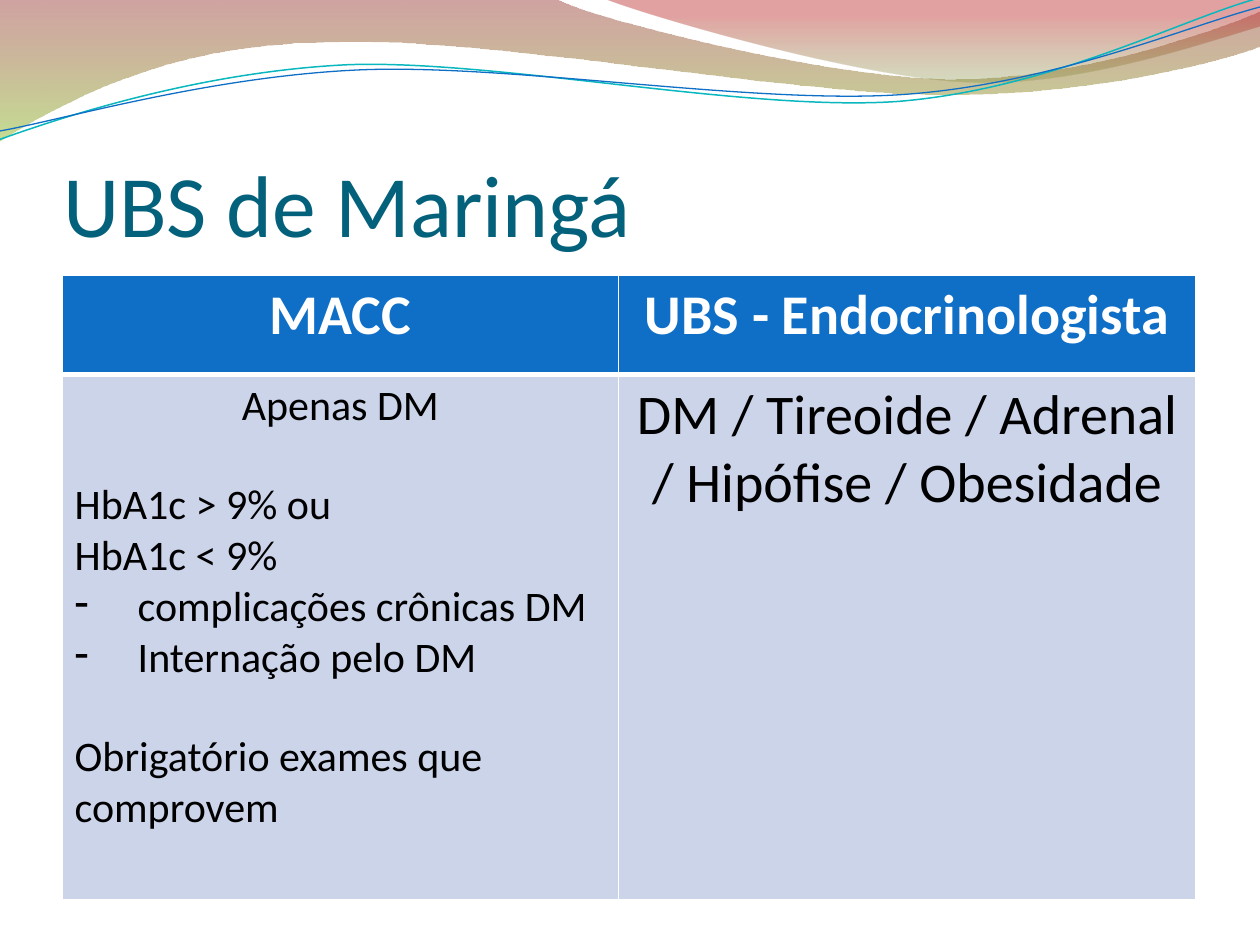
from lxml import etree
from pptx import Presentation
from pptx.dml.color import RGBColor
from pptx.enum import text
from pptx.oxml import parse_xml
from pptx.oxml.ns import nsdecls, qn
from pptx.util import Pt

FONT = "Calibri"
BLUE, PALE, WHITE, BLACK, TEAL = "0F6FC6", "CCD4EA", "FFFFFF", "000000", "04617B"
LEFT, CENTER = text.PP_ALIGN.LEFT, text.PP_ALIGN.CENTER

BANDS = [
    ((0, -1), [(317, -1), (343, 12, 478, 45, 546, 45), (614, 45, 690, 19, 720, 6.5),
               (721, 26), (708, 32, 626, 55, 537, 54), (448, 54, 275, 20, 185, 24),
               (93, 25, 33, 60, -1, 81)],
     [(0, "973330", 45), (100, "95C238", 55)], 90),
    ((345, -1), [(367, 8, 491, 45, 554, 47), (616, 50, 692, 23, 720, 15), (720, 0)],
     [(0, "769537", 30), (80, "BE3330", 45)], 270),
]
WAVES = [
    ((-1, 80), [(35, 67, 114, 41, 199, 37), (284, 34, 427, 64, 513, 58),
                (600, 51, 675, 11, 719, -1)], "09B7BF", 0.85),
    ((-1, 75), [(34, 69, 118, 44, 204, 40), (290, 36, 430, 60, 516, 54),
                (602, 48, 678, 15, 720, 4)], BLUE, 0.75),
]
HEADERS = ["MACC", "UBS - Endocrinologista"]
CRITERIA = [
    ("Apenas DM", dict(alignment=CENTER), False),
    ("HbA1c > 9% ou", dict(space_before=Pt(27)), False),
    ("HbA1c < 9%", {}, False),
    ("complicações crônicas DM", {}, True),
    ("Internação pelo DM", {}, True),
    ("Obrigatório exames que comprovem", dict(space_before=Pt(27)), False),
]
SCOPE = "DM / Tireoide / Adrenal / Hipófise / Obesidade"


def rgb(color):
    """Turn a hex string into a colour."""
    return RGBColor.from_string(color)


def set_attrs(obj, **values):
    """Set each named value on an object."""
    for name, value in values.items():
        setattr(obj, name, value)


def write(p, words, size, color, bold=False, **layout):
    """Put one formatted run in a paragraph."""
    set_attrs(p, **layout)
    r = p.add_run()
    r.text = words
    set_attrs(r.font, name=FONT, size=Pt(size), bold=bold)
    r.font.color.rgb = rgb(color)


def add_curve(s, box, start, segments, close):
    """Draw an outline whose six-number segments are Bezier curves."""
    left, top = box
    points = [(Pt(left + x), Pt(top + y))
              for seg in segments for x, y in zip(seg[::2], seg[1::2])]
    builder = s.shapes.build_freeform(Pt(left + start[0]), Pt(top + start[1]))
    builder.add_line_segments(points, close=close)
    sp = builder.convert_to_shape()
    sp.shadow.inherit = False
    lines = iter(list(sp._element.iter(qn("a:lnTo"))))
    for seg in segments:
        steps = [next(lines) for _ in range(len(seg) // 2)]
        if len(steps) == 3:
            curve = etree.Element(qn("a:cubicBezTo"))
            steps[0].addprevious(curve)
            for step in steps:
                curve.append(step[0])
                step.getparent().remove(step)
    return sp


def fill_gradient(sp, stops, angle):
    """Give a shape a linear gradient with transparent stops."""
    items = "".join(
        f'<a:gs pos="{pos * 1000}"><a:srgbClr val="{color}">'
        f'<a:alpha val="{alpha * 1000}"/></a:srgbClr></a:gs>'
        for pos, color, alpha in stops)
    sp._element.spPr.find(qn("a:custGeom")).addnext(parse_xml(
        f'<a:gradFill {nsdecls("a")} rotWithShape="1"><a:gsLst>{items}</a:gsLst>'
        f'<a:lin ang="{angle * 60000}" scaled="0"/></a:gradFill>'))


def add_header_art(s, box):
    """Draw the coloured bands and thin waves along the top."""
    for start, segments, stops, angle in BANDS:
        sp = add_curve(s, box, start, segments, True)
        sp.line.fill.background()
        fill_gradient(sp, stops, angle)
    for start, segments, color, width in WAVES:
        sp = add_curve(s, box, start, segments, False)
        sp.fill.background()
        sp.line.color.rgb = rgb(color)
        sp.line.width = Pt(width)


def place_title(s, box, words):
    """Move and format the title placeholder, in front of the art."""
    sp = s.shapes.title
    s.shapes._spTree.append(sp._element)
    set_attrs(sp, **dict(zip(("left", "top", "width", "height"), map(Pt, box))))
    tf = sp.text_frame
    set_attrs(tf, margin_left=0, margin_top=Pt(3.6), margin_right=0, margin_bottom=0,
              vertical_anchor=text.MSO_ANCHOR.BOTTOM, word_wrap=True,
              auto_size=text.MSO_AUTO_SIZE.NONE)
    write(tf.paragraphs[0], words, 50, TEAL, alignment=LEFT)


def style_cell(cell, fill, top, bottom):
    """Give a cell white borders and a solid fill."""
    tcPr = cell._tc.get_or_add_tcPr()
    for side, width in zip("LRTB", (0.96, 0.96, top, bottom)):
        tcPr.append(parse_xml(
            f'<a:ln{side} {nsdecls("a")} w="{Pt(width)}"><a:solidFill>'
            f'<a:srgbClr val="{WHITE}"/></a:solidFill></a:ln{side}>'))
    cell.fill.solid()
    cell.fill.fore_color.rgb = rgb(fill)


def add_dash(p):
    """Give a paragraph a hanging dash."""
    pPr = p._p.get_or_add_pPr()
    pPr.set("marL", str(Pt(36)))
    pPr.set("indent", str(Pt(-36)))
    color = etree.SubElement(pPr, qn("a:buClr"))
    etree.SubElement(color, qn("a:srgbClr"), val=BLACK)
    etree.SubElement(pPr, qn("a:buChar"), char="-")


def add_comparison(s, box, widths, heights):
    """Build the two-column table of services."""
    table = s.shapes.add_table(2, 2, *map(Pt, box)).table
    for column, width in zip(table.columns, widths):
        column.width = Pt(width)
    for row, height in zip(table.rows, heights):
        row.height = Pt(height)
    for col, words in enumerate(HEADERS):
        head, body = table.cell(0, col), table.cell(1, col)
        style_cell(head, BLUE, 0.96, 3)
        style_cell(body, PALE, 3, 0.96)
        write(head.text_frame.paragraphs[0], words, 32, WHITE, True, alignment=CENTER)
    tf = table.cell(1, 0).text_frame
    for i, (words, layout, dashed) in enumerate(CRITERIA):
        p = tf.add_paragraph() if i else tf.paragraphs[0]
        write(p, words, 24, BLACK, **layout)
        if dashed:
            add_dash(p)
    write(table.cell(1, 1).text_frame.paragraphs[0], SCOPE, 32, BLACK, alignment=CENTER)


def main():
    """Build and save the slide."""
    prs = Presentation()
    set_attrs(prs, slide_width=Pt(720), slide_height=Pt(540))
    s = prs.slides.add_slide(prs.slide_layouts[5])
    add_header_art(s, (0, 0))
    place_title(s, (36, 55.5, 648, 90), "UBS de Maringá")
    add_comparison(s, (35.5, 157, 648, 357), (318, 330), (57, 300))
    prs.save("out.pptx")


if __name__ == "__main__":
    main()
